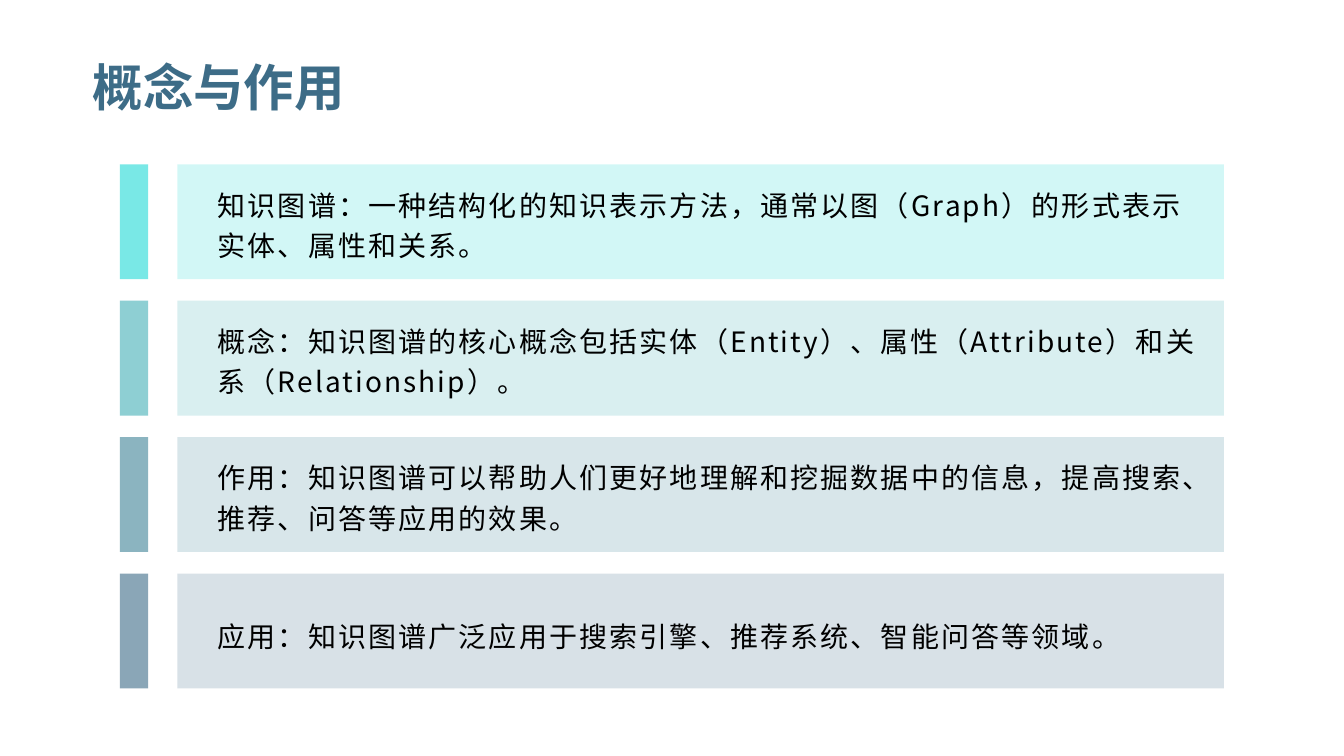
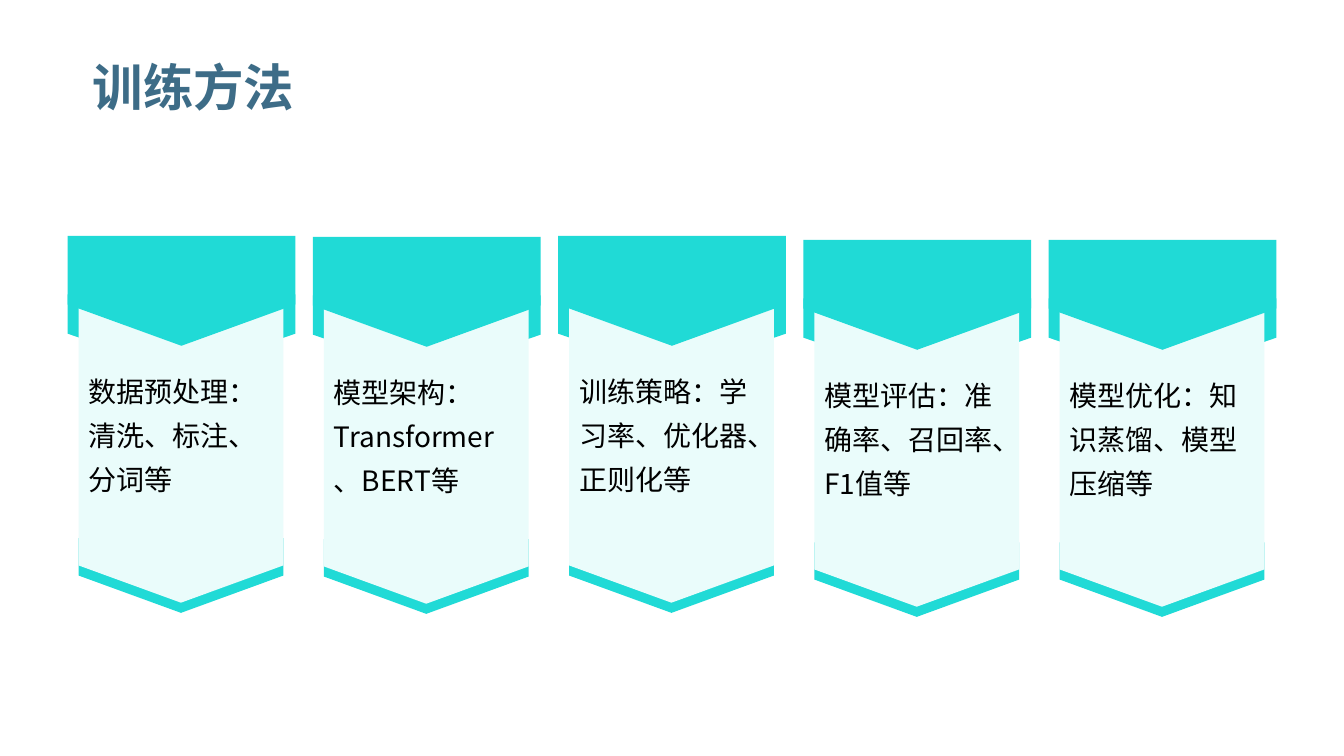
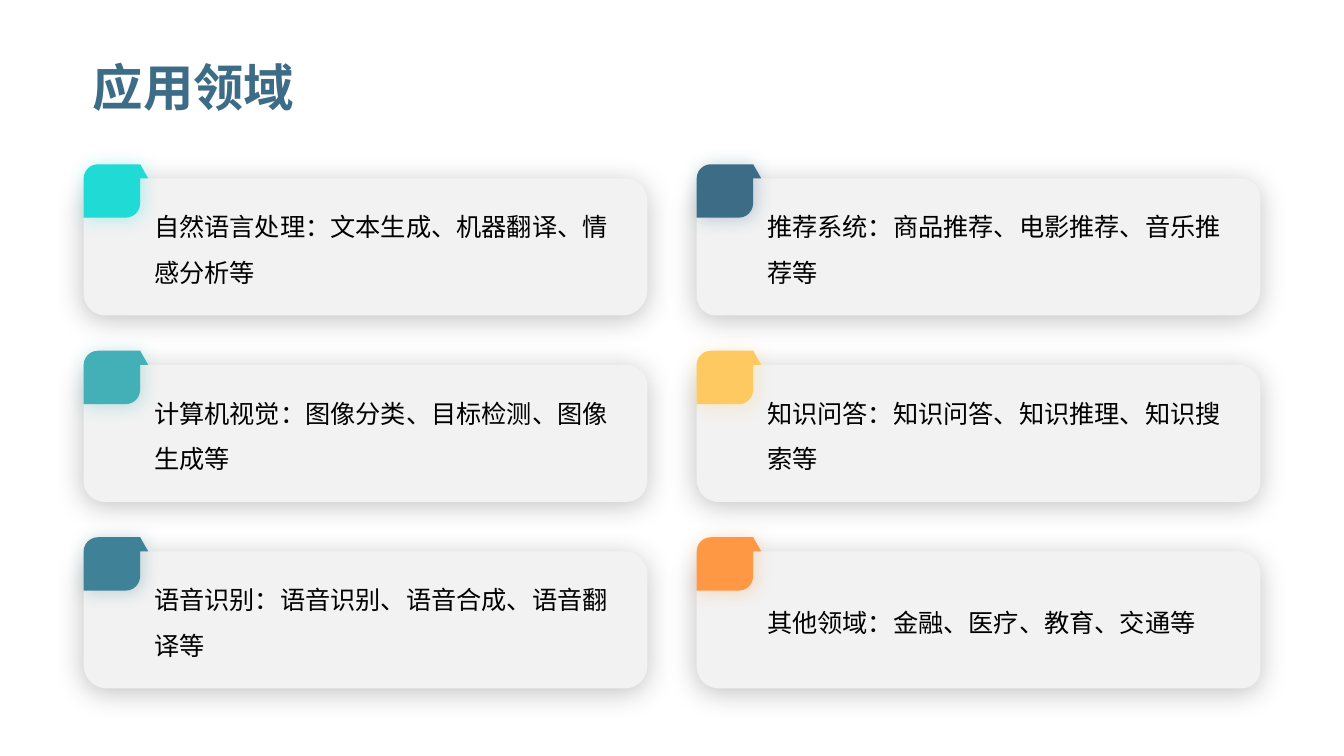
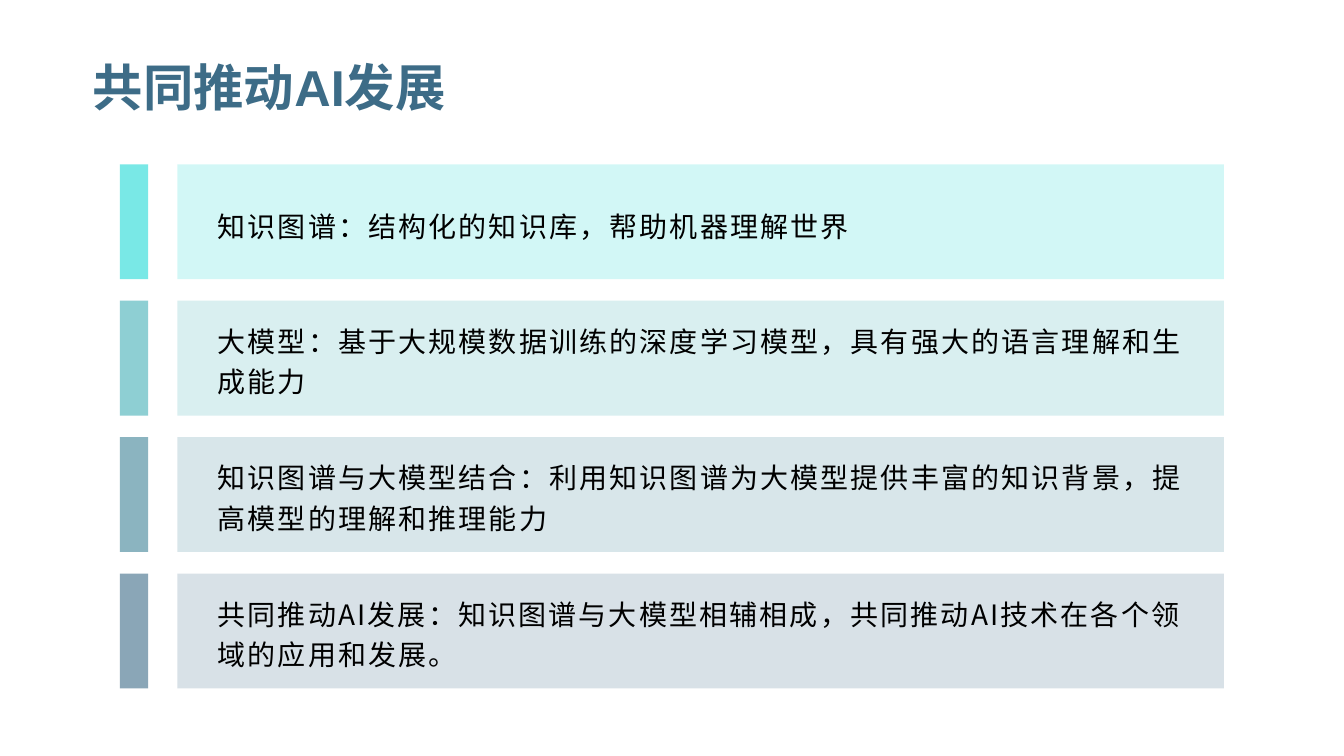
from lxml.etree import SubElement
from pptx import Presentation
from pptx.dml.color import RGBColor
from pptx.enum.shapes import MSO_SHAPE
from pptx.enum.text import MSO_ANCHOR
from pptx.oxml.ns import qn
from pptx.util import Inches, Pt

FONT = "Noto Sans CJK SC"
CYAN, TEAL, SEA, NAVY = "20DAD6", "43AFB6", "3F8297", "3D6C87"
GOLD, ORANGE, GREY, PALE = "FFC961", "FF9845", "F2F2F2", "EAFCFB"
BLACK = "000000"

TITLE = {"size": 36, "name": "Arial", "bold": True, "color": NAVY}
BODY = {"size": 20, "name": FONT, "color": BLACK}
SMALL = {**BODY, "size": 18}

CONCEPT = [
    ("知识图谱：一种结构化的知识表示方法，通常以图（Graph）的形式表示实体、属性和关系。", 1.2),
    ("概念：知识图谱的核心概念包括实体（Entity）、属性（Attribute）和关系（Relationship）。", 1.2),
    ("作用：知识图谱可以帮助人们更好地理解和挖掘数据中的信息，提高搜索、推荐、问答等应用的效果。", 1.2),
    ("应用：知识图谱广泛应用于搜索引擎、推荐系统、智能问答等领域。", 1.3),
]
FUTURE = [
    ("知识图谱：结构化的知识库，帮助机器理解世界", 1.3),
    ("大模型：基于大规模数据训练的深度学习模型，具有强大的语言理解和生成能力", 1.2),
    ("知识图谱与大模型结合：利用知识图谱为大模型提供丰富的知识背景，提高模型的理解和推理能力", 1.2),
    ("共同推动AI发展：知识图谱与大模型相辅相成，共同推动AI技术在各个领域的应用和发展。", 1.2),
]
# Text and drop below the top of the row
STEPS = [
    ("数据预处理：清洗、标注、分词等", 0),
    ("模型架构：Transformer、BERT等", 0.01),
    ("训练策略：学习率、优化器、正则化等", 0),
    ("模型评估：准确率、召回率、F1值等", 0.04),
    ("模型优化：知识蒸馏、模型压缩等", 0.04),
]
# Text, tab colour and corner radii, row by row
FIELDS = [
    ("自然语言处理：文本生成、机器翻译、情感分析等", CYAN, (0.184, 0.16)),
    ("推荐系统：商品推荐、电影推荐、音乐推荐等", NAVY, (0.184, 0.141)),
    ("计算机视觉：图像分类、目标检测、图像生成等", TEAL, (0.154, 0.151)),
    ("知识问答：知识问答、知识推理、知识搜索等", GOLD, (0.144, 0.16)),
    ("语音识别：语音识别、语音合成、语音翻译等", SEA, (0.163, 0.17)),
    ("其他领域：金融、医疗、教育、交通等", ORANGE, (0.135, 0.16)),
]


def rgb(code):
    return RGBColor.from_string(code)


def paint(shape, color, alpha=None):
    shape.shadow.inherit = False
    shape.line.fill.background()
    shape.fill.solid()
    shape.fill.fore_color.rgb = rgb(color)
    if alpha:
        node = shape._element.spPr.find(qn("a:solidFill"))[0]
        SubElement(node, qn("a:alpha"), val=str(alpha * 1000))


def block(slide, kind, box, color, alpha=None, adj=(), turn=0):
    shape = slide.shapes.add_shape(kind, *map(Inches, box))
    paint(shape, color, alpha)
    for i, value in enumerate(adj):
        shape.adjustments[i] = value
    shape.rotation = turn
    return shape


def shade(shape, color, alpha, blur, dist, angle):
    effects = shape._element.spPr.find(qn("a:effectLst"))
    outer = SubElement(effects, qn("a:outerShdw"), blurRad=str(Pt(blur)),
                       dist=str(Pt(dist)), dir=str(angle * 60000),
                       algn="t", rotWithShape="0")
    node = SubElement(outer, qn("a:srgbClr"), val=color)
    SubElement(node, qn("a:alpha"), val=str(alpha * 1000))


def write(slide, text, box, style, spacing=None, track=None,
          anchor=MSO_ANCHOR.MIDDLE, insets=(0.1, 0.05, 0.1, 0.05)):
    frame = slide.shapes.add_textbox(*map(Inches, box)).text_frame
    frame.word_wrap = True
    frame.vertical_anchor = anchor
    for side, gap in zip(("left", "top", "right", "bottom"), insets):
        setattr(frame, "margin_" + side, Inches(gap))
    para = frame.paragraphs[0]
    para.line_spacing = spacing
    run = para.add_run()
    run.text = text
    for key, value in style.items():
        if key == "color":
            run.font.color.rgb = rgb(value)
        else:
            setattr(run.font, key, Pt(value) if key == "size" else value)
    props = run._r.get_or_add_rPr()
    SubElement(props, qn("a:ea"), typeface=FONT)
    if track:
        props.set("spc", str(int(track * 100)))


def start(deck, title):
    """Add a blank slide with its title."""
    slide = deck.slides.add_slide(deck.slide_layouts[6])
    write(slide, title, (0.92, 0.39, 11.5, 0.94), TITLE, insets=(0, 0, 0, 0))
    return slide


def bands(slide, rows, box):
    """Stack tinted bands, each with a stronger bar at its left."""
    x, y, w, h = box
    tall = 1.14
    step = (h - tall) / (len(rows) - 1)
    for i, ((text, spacing), color) in enumerate(zip(rows, (CYAN, TEAL, SEA, NAVY))):
        top = y + i * step
        block(slide, MSO_SHAPE.RECTANGLE, (x + 0.57, top, w - 0.57, tall), color, 20)
        block(slide, MSO_SHAPE.RECTANGLE, (x, top, 0.28, tall), color, 60)
        write(slide, text, (x + 0.87, top + 0.1, w - 1.02, tall - 0.2),
              BODY, spacing, track=1.5)


def plate(slide, box, color):
    """Draw a preset plate that points down, filling the box."""
    x, y, w, h = box
    block(slide, MSO_SHAPE.PENTAGON,
          (x + (w - h) / 2, y + (h - w) / 2, h, w), color, turn=90)


def pennant(slide, box, point, color):
    """Draw a rectangle whose lower edge ends in a point of given depth."""
    x, y, w, h = box
    spots = [(x + w, y), (x + w, y + h - point), (x + w / 2, y + h), (x, y + h - point)]
    pen = slide.shapes.build_freeform(Inches(x), Inches(y))
    pen.add_line_segments([(Inches(a), Inches(b)) for a, b in spots])
    paint(pen.convert_to_shape(), color)


def ribbon(slide, text, x, y, w):
    inner, slim = x + 0.11, w - 0.23
    plate(slide, (x, y + 0.58, w, 0.78), CYAN)
    plate(slide, (inner, y + 3, slim, 0.74), CYAN)
    pennant(slide, (inner, y + 0.58, slim, 3.06), 0.37, PALE)
    pennant(slide, (x, y, w, 1.09), 0.41, CYAN)
    write(slide, text, (inner, y + 1.23, slim, 1.83), BODY, 1.3,
          anchor=MSO_ANCHOR.TOP)


def ribbons(slide, steps, x, y, width):
    w = 2.26
    step = (width - w) / (len(steps) - 1)
    for i, (text, drop) in enumerate(steps):
        ribbon(slide, text, x + i * step, y + drop, w)


def card(slide, text, color, radii, x, y):
    """Draw a grey card with a coloured tab folded over its corner."""
    kind = MSO_SHAPE.ROUND_2_DIAG_RECTANGLE
    body = block(slide, kind, (x, y + 0.14, 5.59, 1.36), GREY, adj=radii)
    shade(body, BLACK, 23, 20, 3, 107)
    tab = block(slide, kind, (x, y, 0.56, 0.53), color, adj=(0.267, 0))
    shade(tab, color, 31, 13, 2, 45)
    block(slide, MSO_SHAPE.RIGHT_TRIANGLE, (x + 0.56, y, 0.08, 0.14), color)
    write(slide, text, (x + 0.6, y + 0.21, 4.78, 1.24), SMALL, 1.5,
          insets=(0.1, 0, 0.1, 0.12))


def cards(slide, fields, x, y):
    for i, (text, color, radii) in enumerate(fields):
        row, col = divmod(i, 2)
        card(slide, text, color, radii, x + col * 6.08, y + row * 1.85)


def main():
    deck = Presentation()
    deck.slide_width, deck.slide_height = Inches(13.33), Inches(7.5)
    area = (1.19, 1.63, 10.95, 5.2)
    bands(start(deck, "概念与作用"), CONCEPT, area)
    ribbons(start(deck, "训练方法"), STEPS, 0.67, 2.34, 11.99)
    cards(start(deck, "应用领域"), FIELDS, 0.83, 1.63)
    bands(start(deck, "共同推动AI发展"), FUTURE, area)
    deck.save("out.pptx")


if __name__ == "__main__":
    main()
